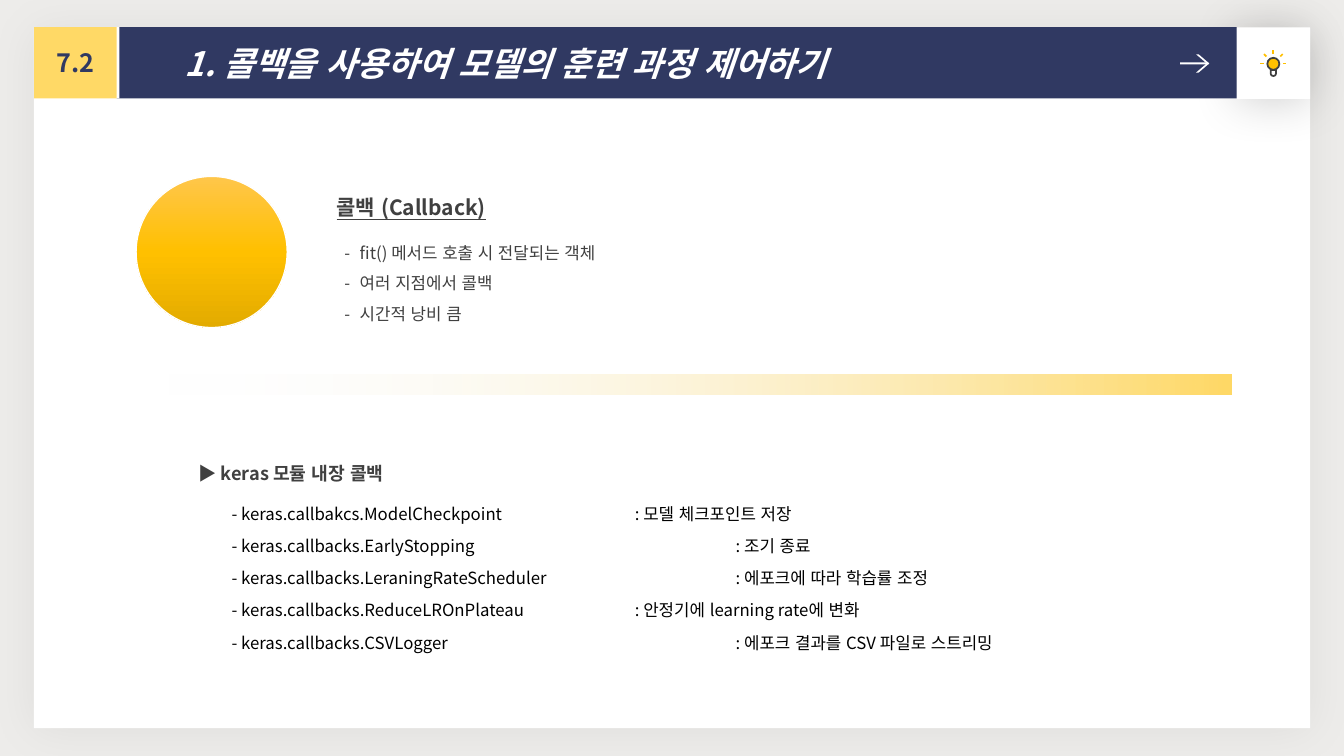
from math import cos, pi, sin

from lxml import etree
from pptx import Presentation
from pptx.dml.color import RGBColor
from pptx.enum.shapes import MSO_CONNECTOR, MSO_SHAPE
from pptx.enum.text import MSO_ANCHOR, MSO_AUTO_SIZE, PP_ALIGN
from pptx.oxml.ns import qn
from pptx.util import Pt

RECT, OVAL = MSO_SHAPE.RECTANGLE, MSO_SHAPE.OVAL
CHEVRON, ROUND = MSO_SHAPE.CHEVRON, MSO_SHAPE.ROUND_2_SAME_RECTANGLE
LINE = MSO_CONNECTOR.STRAIGHT
MIDDLE, FIXED = MSO_ANCHOR.MIDDLE, MSO_AUTO_SIZE.NONE
LEFT, CENTER = PP_ALIGN.LEFT, PP_ALIGN.CENTER

FONT = "Noto Sans CJK KR"
BACK = RGBColor(0xED, 0xEC, 0xEA)
WHITE = RGBColor(0xFF, 0xFF, 0xFF)
BLACK = RGBColor(0, 0, 0)
NAVY = RGBColor(0x30, 0x39, 0x62)
GRAY = RGBColor(0x40, 0x40, 0x40)
YELLOW = RGBColor(0xFF, 0xD9, 0x66)
GOLD = RGBColor(0xFF, 0xC0, 0)
PALE = RGBColor(0xF6, 0xF8, 0xFC)
LIGHT = RGBColor(0xFF, 0xC6, 0x4B)
DARK = RGBColor(0xE3, 0xAB, 0)

POINTS = ["fit() 메서드 호출 시 전달되는 객체", "여러 지점에서 콜백", "시간적 낭비 큼"]
CALLS = [
    "- keras.callbakcs.ModelCheckpoint \t\t: 모델 체크포인트 저장",
    "- keras.callbacks.EarlyStopping\t\t\t: 조기 종료",
    "- keras.callbacks.LeraningRateScheduler\t\t: 에포크에 따라 학습률 조정",
    "- keras.callbacks.ReduceLROnPlateau\t\t: 안정기에 learning rate에 변화",
    "- keras.callbacks.CSVLogger \t\t\t: 에포크 결과를 CSV 파일로 스트리밍",
]


def add(parent, tag, **attrs):
    node = etree.SubElement(parent, qn(tag))
    for key, value in attrs.items():
        node.set(key, str(value))
    return node


def tint(parent, color, alpha):
    add(add(parent, "a:srgbClr", val=color), "a:alpha", val=alpha * 1000)


def shape(slide, kind, box, fill=None, line=None, width=1.25):
    item = slide.shapes.add_shape(kind, *map(Pt, box))
    item.shadow.inherit = False
    if fill is None:
        item.fill.background()
    else:
        item.fill.solid()
        item.fill.fore_color.rgb = fill
    if line is None:
        item.line.fill.background()
    else:
        item.line.color.rgb = line
        item.line.width = Pt(width)
    return item


def shade(item, color, alpha, blur, angle):
    effects = item.element.spPr.find(qn("a:effectLst"))
    drop = add(effects, "a:outerShdw", blurRad=Pt(blur), dist=Pt(2),
               dir=angle * 60000, algn="ctr", rotWithShape=0)
    tint(drop, color, alpha)


def blend(item, stops, angle):
    item.fill.gradient()
    item.fill.gradient_angle = angle
    steps = item.element.spPr.find(".//" + qn("a:gsLst"))
    for old in list(steps):
        steps.remove(old)
    for place, color, alpha in stops:
        tint(add(steps, "a:gs", pos=place * 1000), color, alpha)


def style(para, size, color, bold=False, italic=False, under=False):
    for run in para.runs:
        font = run.font
        font.size, font.bold, font.italic = Pt(size), bold, italic
        font.underline = under
        font.color.rgb = color
        font.name = FONT
        props = run._r.get_or_add_rPr()
        props.set("lang", "ko-KR")
        props.set("kern", "0")
        add(props, "a:ea", typeface=FONT)


def block(slide, box, head, size, under, lines, gap, space, indent, hang):
    item = slide.shapes.add_textbox(*map(Pt, box))
    frame = item.text_frame
    frame.word_wrap = True
    first = frame.paragraphs[0]
    first.text = head
    first.line_spacing = 1.5
    style(first, size, GRAY, bold=True, under=under)
    for i, text in enumerate(lines):
        para = frame.add_paragraph()
        para.text = text
        para.line_spacing = space
        para.space_before = Pt(0 if i else gap)
        props = para._p.get_or_add_pPr()
        props.set("marL", str(Pt(indent)))
        props.set("indent", str(Pt(-hang)))
        props.set("defTabSz", str(Pt(72)))
        style(para, 12, GRAY if hang else BLACK)
    return first


def bulb(slide, x, y):
    shape(slide, OVAL, (x - 4.3, y - 4, 8.6, 8.6), GOLD, GRAY)
    neck = shape(slide, ROUND, (x - 1.9, y + 4.7, 3.8, 4.3), None, GRAY)
    neck.adjustments[0], neck.adjustments[1] = 0, 0.5
    for i in range(5):
        turn = i * pi / 4
        ends = [(x + r * cos(turn), y - r * sin(turn)) for r in (7, 9.4)]
        ray = slide.shapes.add_connector(LINE, *map(Pt, ends[0] + ends[1]))
        ray.line.color.rgb = GOLD
        ray.line.width = Pt(1.25)
        add(ray.element.spPr, "a:effectLst")


def arrow(slide, x, y):
    tip = shape(slide, CHEVRON, (x - 9.4, y - 6.5, 9.4, 13), WHITE)
    tip.adjustments[0] = 0.807
    shape(slide, RECT, (x - 20.9, y - 0.7, 20.2, 1.4), WHITE)


def header(slide, box):
    x, y, w, h = box
    tag, tile = 59, 52.5
    shade(shape(slide, RECT, (x + w - tile, y + 0.3, tile, h), WHITE),
          BLACK, 18, 34, 90)

    title = slide.shapes.title
    slide.shapes.element.append(title.element)
    title.left, title.top = Pt(x + tag), Pt(y)
    title.width, title.height = Pt(w - tag - tile), Pt(h)
    title.fill.solid()
    title.fill.fore_color.rgb = NAVY
    frame = title.text_frame
    frame.text = "1. 콜백을 사용하여 모델의 훈련 과정 제어하기"
    frame.auto_size = FIXED
    frame.vertical_anchor = MIDDLE
    frame.margin_left = Pt(48.7)
    para = frame.paragraphs[0]
    para.alignment = LEFT
    style(para, 24, WHITE, bold=True, italic=True)

    mark = shape(slide, RECT, (x, y, tag, h), YELLOW)
    shade(mark, WHITE, 100, 0, 0)
    frame = mark.text_frame
    frame.text = "7.2"
    frame.vertical_anchor = MIDDLE
    frame.paragraphs[0].alignment = CENTER
    style(frame.paragraphs[0], 18, NAVY, bold=True)

    bulb(slide, x + w - tile / 2, y + 26)
    arrow(slide, x + w - tile - 19.5, y + 26)


def intro(slide, box):
    x, y, w, h = box
    ball = shape(slide, OVAL, (x, y, h, h), GOLD, WHITE, 1)
    blend(ball, [(0, LIGHT, 100), (50, GOLD, 100), (100, DARK, 100)], 270)
    lines = ["-\t" + text for text in POINTS]
    block(slide, (x + 136.2, y + 0.7, w - 136.2, h), "콜백 (Callback)", 15, True,
          lines, 9, 1.5, 16.5, 11)


def calls(slide, box):
    x, y, w, h = box
    band = shape(slide, RECT, (x, y, w, 14.6), YELLOW)
    blend(band, [(0, PALE, 0), (100, YELLOW, 100)], 0)
    head = block(slide, (x + 5.8, y + 51.5, w - 5.8, h - 51.5),
                 "▶ keras 모듈 내장 콜백", 13, False, CALLS, 5, 1.6, 36, 0)
    head._p.get_or_add_pPr().set("marL", str(Pt(12.5)))


def main():
    deck = Presentation()
    deck.slide_width, deck.slide_height = Pt(960), Pt(540)
    slide = deck.slides.add_slide(deck.slide_layouts[5])
    slide.background.fill.solid()
    slide.background.fill.fore_color.rgb = BACK
    panel = shape(slide, RECT, (24.3, 20, 911.5, 500.2), WHITE)
    shade(panel, BLACK, 5, 34, 90)
    header(slide, (24.3, 19.3, 911.5, 51))
    intro(slide, (97.2, 126, 544, 108))
    calls(slide, (116.6, 267.5, 763, 225))
    deck.save("out.pptx")


if __name__ == "__main__":
    main()
